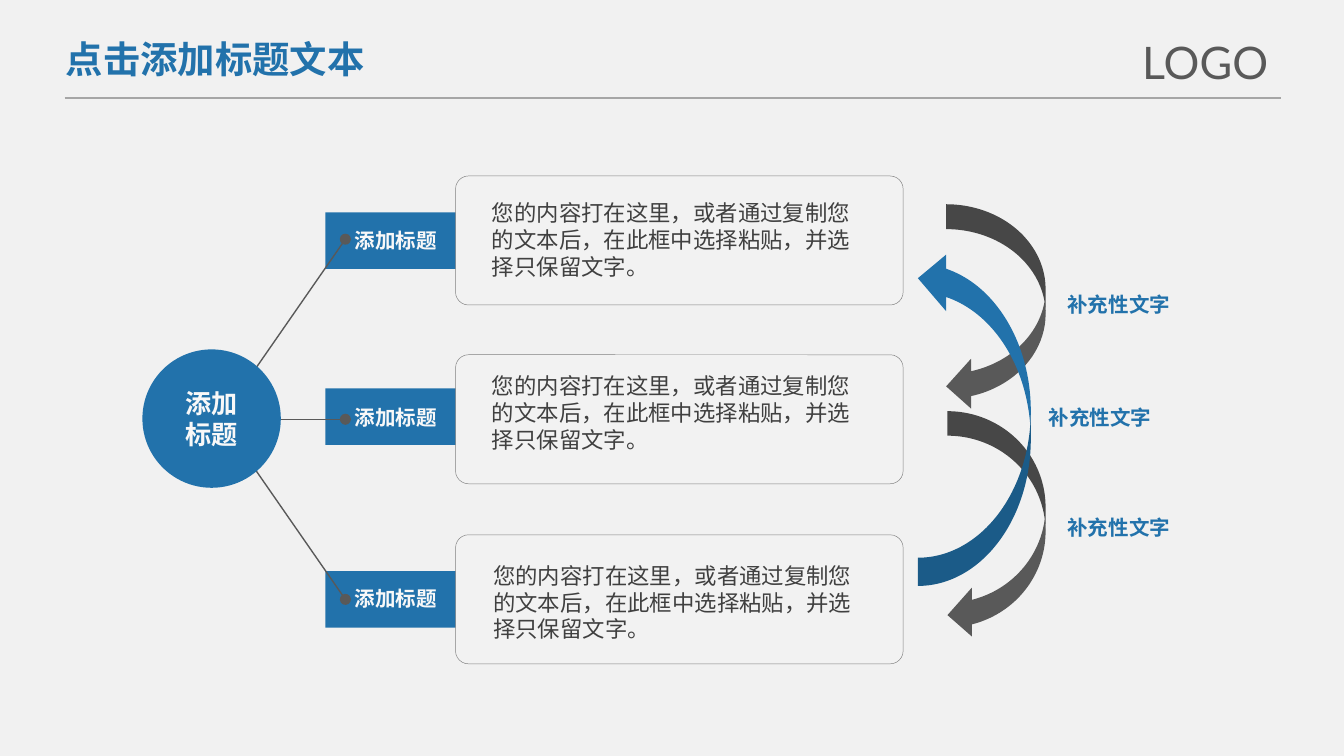
from dataclasses import dataclass

from lxml import etree
from pptx import Presentation
from pptx import util as u
from pptx.dml.color import RGBColor
from pptx.enum import shapes, text
from pptx.oxml.ns import qn

BLUE = RGBColor(0x22, 0x72, 0xAB)
BACKGROUND = RGBColor(0xF1, 0xF1, 0xF1)
CARD_FILL = RGBColor(0xF2, 0xF2, 0xF2)
WHITE = RGBColor(0xF8, 0xF8, 0xF8)
INK = RGBColor(0x40, 0x40, 0x40)
GREY = RGBColor(0x59, 0x59, 0x59)
CARD_EDGE = RGBColor(0x80, 0x80, 0x80)
RULE = RGBColor(0xA6, 0xA6, 0xA6)

# Square grid: 100 columns across the slide
COLUMNS, ROWS = 100, 56.25
CELL = u.Inches(10) / COLUMNS
NARROW_INSETS = (0.07, 0.03)
DEFAULT_INSETS = (0.1, 0.05)

BODY = "您的内容打在这里，或者通过复制您的文本后，在此框中选择粘贴，并选择只保留文字。"


@dataclass(frozen=True)
class Box:
    """Place and size in grid columns and rows."""
    col: float
    row: float
    cols: float
    rows: float

    def emu(self) -> list[int]:
        return [cells(n) for n in (self.col, self.row, self.cols, self.rows)]


@dataclass(frozen=True)
class Topic:
    """Rows at which the parts of one topic begin, and the column of its body."""
    tag: float
    label: float
    link_end: float
    card: float
    body: float
    body_col: float


@dataclass(frozen=True)
class Arrow:
    box: Box
    color: RGBColor
    upward: bool = False


TOPICS = (
    Topic(tag=15.8, label=16.5, link_end=17.8, card=13.1, body=15.2, body_col=35.9),
    Topic(tag=28.9, label=29.7, link_end=31.2, card=26.4, body=28.1, body_col=35.9),
    Topic(tag=42.5, label=43.2, link_end=44.6, card=39.8, body=42.2, body_col=36),
)
ARROWS = (
    Arrow(Box(70.4, 15.2, 7.4, 15.4), GREY),
    Arrow(Box(70.5, 30.6, 7.3, 17), GREY),
    Arrow(Box(68.3, 18.6, 8.4, 25), BLUE, upward=True),
)
REMARKS = ((78.7, 21.4), (77.3, 29.8), (78.7, 38))


def cells(count: float) -> int:
    return round(count * CELL)


def write(frame, content: str, *, size: float, color: RGBColor, font="Calibri",
          bold=False, align=text.PP_ALIGN.LEFT, anchor=text.MSO_ANCHOR.MIDDLE,
          wrap=True, insets=NARROW_INSETS) -> None:
    """Fill a text frame, one paragraph for each line of the content."""
    frame.word_wrap = wrap
    frame.vertical_anchor = anchor
    frame.margin_left = frame.margin_right = u.Inches(insets[0])
    frame.margin_top = frame.margin_bottom = u.Inches(insets[1])
    frame.text = content
    for paragraph in frame.paragraphs:
        paragraph.alignment = align
        for run in paragraph.runs:
            run.font.name, run.font.size = font, u.Pt(size)
            run.font.bold, run.font.color.rgb = bold, color


def add_text(slide, box: Box, content: str, **style) -> None:
    write(slide.shapes.add_textbox(*box.emu()).text_frame, content, **style)


def add_block(slide, kind, box: Box, fill: RGBColor, edge: RGBColor | None = None):
    block = slide.shapes.add_shape(kind, *box.emu())
    block.shadow.inherit = False
    block.fill.solid()
    block.fill.fore_color.rgb = fill
    if edge is None:
        block.line.fill.background()
    else:
        block.line.color.rgb = edge
        block.line.width = u.Pt(0.25)
    return block


def add_line(slide, start: tuple, end: tuple, color: RGBColor, width: float,
             dots=False) -> None:
    points = [cells(n) for n in (*start, *end)]
    line = slide.shapes.add_connector(shapes.MSO_CONNECTOR.STRAIGHT, *points)
    line.line.color.rgb = color
    line.line.width = u.Pt(width)
    if dots:
        for tip in ("a:headEnd", "a:tailEnd"):
            etree.SubElement(line.line._get_or_add_ln(), qn(tip), type="oval")
    etree.SubElement(line._element.spPr, qn("a:effectLst"))


def add_arrow(slide, arrow: Arrow) -> None:
    curve = add_block(slide, shapes.MSO_SHAPE.CURVED_LEFT_ARROW, arrow.box, arrow.color)
    if arrow.upward:
        curve.rotation = 180
        curve._element.spPr.find(qn("a:xfrm")).set("flipH", "1")


def main() -> None:
    deck = Presentation()
    deck.slide_width, deck.slide_height = cells(COLUMNS), cells(ROWS)
    slide = deck.slides.add_slide(deck.slide_layouts[6])
    slide.background.fill.solid()
    slide.background.fill.fore_color.rgb = BACKGROUND

    # Header
    add_line(slide, (4.8, 7.3), (95.3, 7.3), RULE, 1)
    header = dict(anchor=text.MSO_ANCHOR.TOP, wrap=False, insets=DEFAULT_INSETS)
    add_text(slide, Box(3.9, 2.2, 24.5, 4.4), "点击添加标题文本", size=20,
             color=BLUE, font="Noto Sans CJK SC", bold=True, **header)
    add_text(slide, Box(84, 2.1, 12.5, 5), "LOGO", size=24, color=GREY,
             font="Lato", **header)

    # Topic tags
    for topic in TOPICS:
        add_block(slide, shapes.MSO_SHAPE.PENTAGON, Box(24.2, topic.tag, 13.8, 4.2), BLUE)
        add_text(slide, Box(25.7, topic.label, 11.5, 2.7), "添加标题", size=11,
                 color=WHITE, bold=True)

    # Links from the hub to the tags, then the hub over them
    for topic in TOPICS:
        add_line(slide, (16.4, 31.2), (25.7, topic.link_end), GREY, 0.75, dots=True)
    hub = add_block(slide, shapes.MSO_SHAPE.OVAL, Box(10.6, 26, 10.3, 10.3), BLUE)
    write(hub.text_frame, "添加\n标题", size=14, color=WHITE, bold=True,
          align=text.PP_ALIGN.CENTER)

    # Curved arrows and their remarks
    for arrow in ARROWS:
        add_arrow(slide, arrow)
    for col, row in REMARKS:
        add_text(slide, Box(col, row, 9.1, 2.5), "补充性文字", size=11, color=BLUE,
                 font="Arial", bold=True, align=text.PP_ALIGN.CENTER,
                 anchor=text.MSO_ANCHOR.TOP)

    # Topic cards
    for topic in TOPICS:
        card = add_block(slide, shapes.MSO_SHAPE.ROUNDED_RECTANGLE,
                         Box(33.9, topic.card, 33.3, 9.6), CARD_FILL, CARD_EDGE)
        card.adjustments[0] = 0.1
        add_text(slide, Box(topic.body_col, topic.body, 29.1, 5.2), BODY, size=12,
                 color=INK)

    deck.save("out.pptx")


if __name__ == "__main__":
    main()
